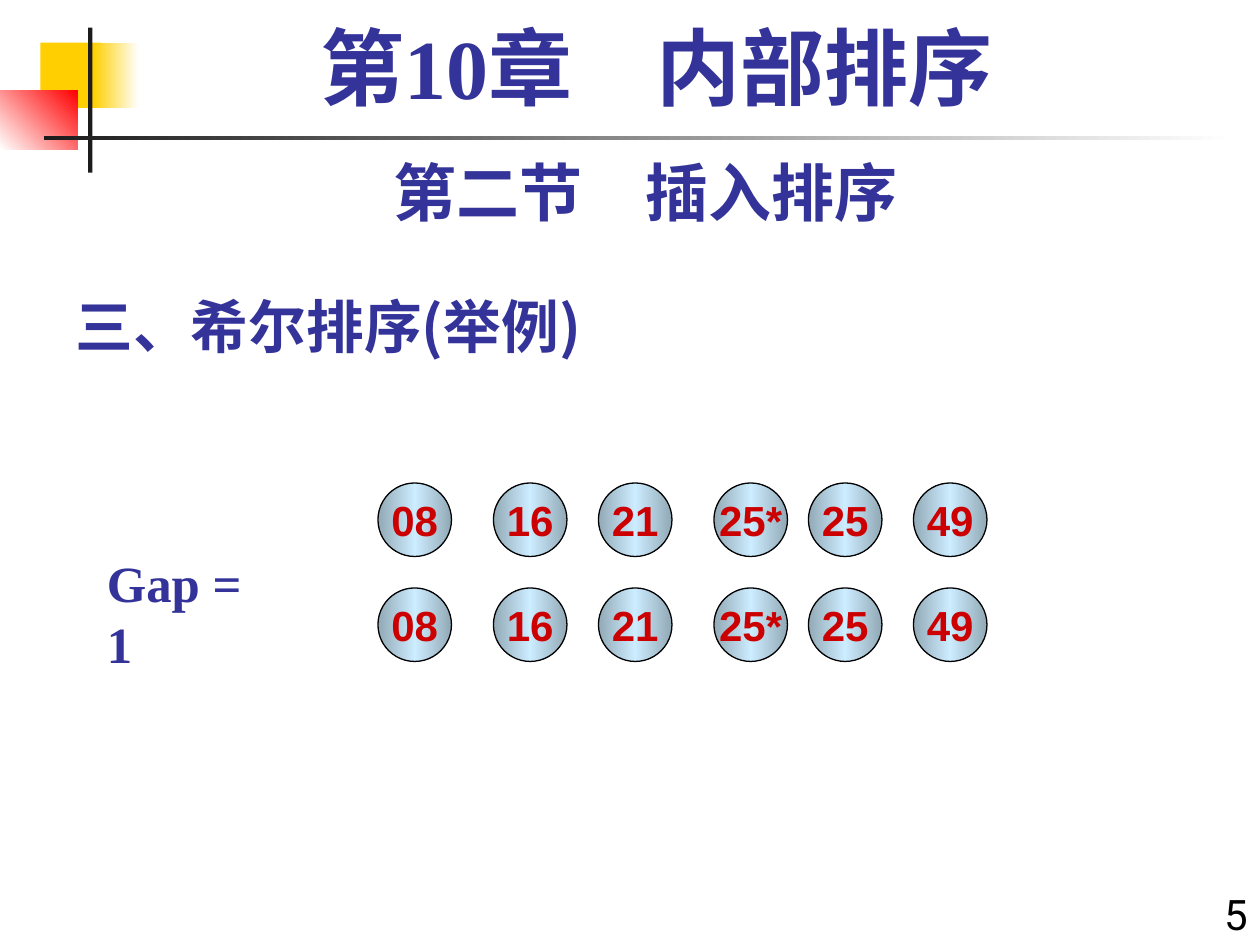
from dataclasses import dataclass
from lxml.etree import SubElement as Sub
from pptx import Presentation
from pptx.dml.color import RGBColor as Rgb
from pptx.enum.shapes import MSO_SHAPE as Kind
from pptx.enum.text import MSO_ANCHOR as Anchor, PP_ALIGN as Align
from pptx.oxml.ns import qn
from pptx.util import Inches, Pt


@dataclass(frozen=True)
class Theme:
    ink: str = "333399"
    black: str = "000000"
    dark: str = "1C1C1C"
    white: str = "FFFFFF"
    gold: str = "FFCF01"
    red: str = "FF0000"
    key: str = "CC0000"
    rim: str = "92A9B6"
    glow: str = "CCECFF"
    serif: str = "Times New Roman"
    sans: str = "Arial"
    han: str = "Noto Sans CJK SC"
    plain: str = "Roboto"
    title: int = 48
    topic: int = 36
    head: int = 33
    gap: int = 29
    small: int = 24


THEME = Theme()
COLS, ROWS = 120, 90
KEYS = ["08", "16", "21", "25*", "25", "49"]
SPOTS = [36, 47, 57, 68, 77, 87]
LINES = [46, 56]
BALL = 7


def cells(*nums):
    return [Inches(num / 12) for num in nums]


def paint(shape, tones, angle=0):
    fill = shape.fill
    if len(tones) == 1:
        fill.solid()
        fill.fore_color.rgb = Rgb.from_string(tones[0])
        return
    fill.gradient()
    fill.gradient_angle = angle
    stops = next(shape.element.iter(qn("a:gsLst")))
    for stop in list(stops):
        stops.remove(stop)
    for num, tone in enumerate(tones):
        stop = Sub(stops, qn("a:gs"), pos=str(num * 100000 // (len(tones) - 1)))
        Sub(stop, qn("a:srgbClr"), val=tone)


def draw(slide, kind, box, tones, angle=0):
    shape = slide.shapes.add_shape(kind, *cells(*box))
    shape.shadow.inherit = False
    shape.line.fill.background()
    paint(shape, tones, angle)
    return shape


def write(shape, text, size, face, tone, bold=True, align=Align.LEFT):
    frame = shape.text_frame
    frame.text = text
    para = frame.paragraphs[0]
    para.alignment = align
    font = para.runs[0].font
    font.size, font.name, font.bold = Pt(size), face, bold
    font.color.rgb = Rgb.from_string(tone)
    props = next(shape.element.iter(qn("a:rPr")))
    Sub(props, qn("a:ea"), typeface=THEME.han)
    return frame


def label(slide, box, *style, **more):
    shape = slide.shapes.add_textbox(*cells(*box))
    frame = write(shape, *style, **more)
    frame.word_wrap = True
    return frame


def ball(slide, col, row, text):
    box = (col, row, BALL, BALL)
    shape = draw(slide, Kind.OVAL, box, [THEME.rim, THEME.glow, THEME.rim])
    shape.line.color.rgb = Rgb.from_string(THEME.black)
    shape.line.width = Pt(0.75)
    frame = write(shape, text, THEME.small, THEME.sans, THEME.key, align=Align.CENTER)
    frame.vertical_anchor = Anchor.MIDDLE
    frame.word_wrap = False


def decor(slide):
    t = THEME
    for box, tones, angle in [
        ((3.84, 4.05, 5.76, 6.24), [t.gold], 0),
        ((8.88, 4.05, 4.32, 6.24), [t.gold, t.white], 0),
        ((0, 8.6, 7.4, 5.6), [t.white, t.red], 45),
        ((8.4, 2.64, 0.4, 13.8), [t.dark], 0),
        ((4.2, 12.96, 113.28, 0.4), [t.dark, t.white], 0),
    ]:
        draw(slide, Kind.RECTANGLE, box, tones, angle)


def words(slide):
    t = THEME
    head = label(slide, (6, 26, 75, 8.9), "三、希尔排序(举例)", t.head, t.han, t.ink)
    head.vertical_anchor = Anchor.BOTTOM
    label(slide, (112, 84, 8, 6), "5", t.small, t.plain, t.black,
          bold=False, align=Align.RIGHT)
    label(slide, (6, 14, 111, 8.4), "第二节　插入排序", t.topic, t.plain, t.ink,
          align=Align.CENTER)
    title = label(slide, (8, 2, 109, 10), "第10章　内部排序", t.title, t.serif, t.ink,
                  align=Align.CENTER)
    title.paragraphs[0].line_spacing = 0.9
    label(slide, (9, 52, 18, 7), "Gap = 1", t.gap, t.serif, t.ink)


def main():
    deck = Presentation()
    deck.slide_width, deck.slide_height = cells(COLS, ROWS)
    slide = deck.slides.add_slide(deck.slide_layouts[6])
    decor(slide)
    words(slide)
    for row in LINES:
        for col, key in zip(SPOTS, KEYS):
            ball(slide, col, row, key)
    deck.save("out.pptx")


if __name__ == "__main__":
    main()
